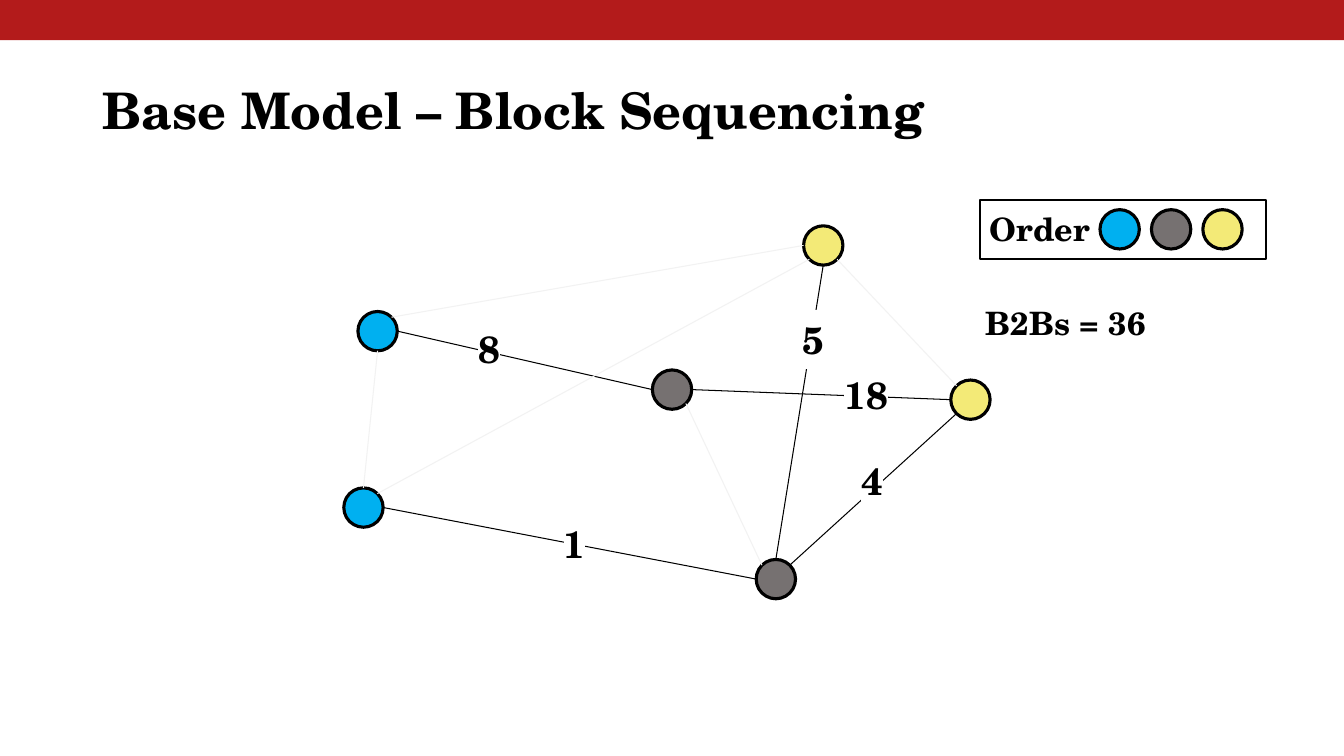
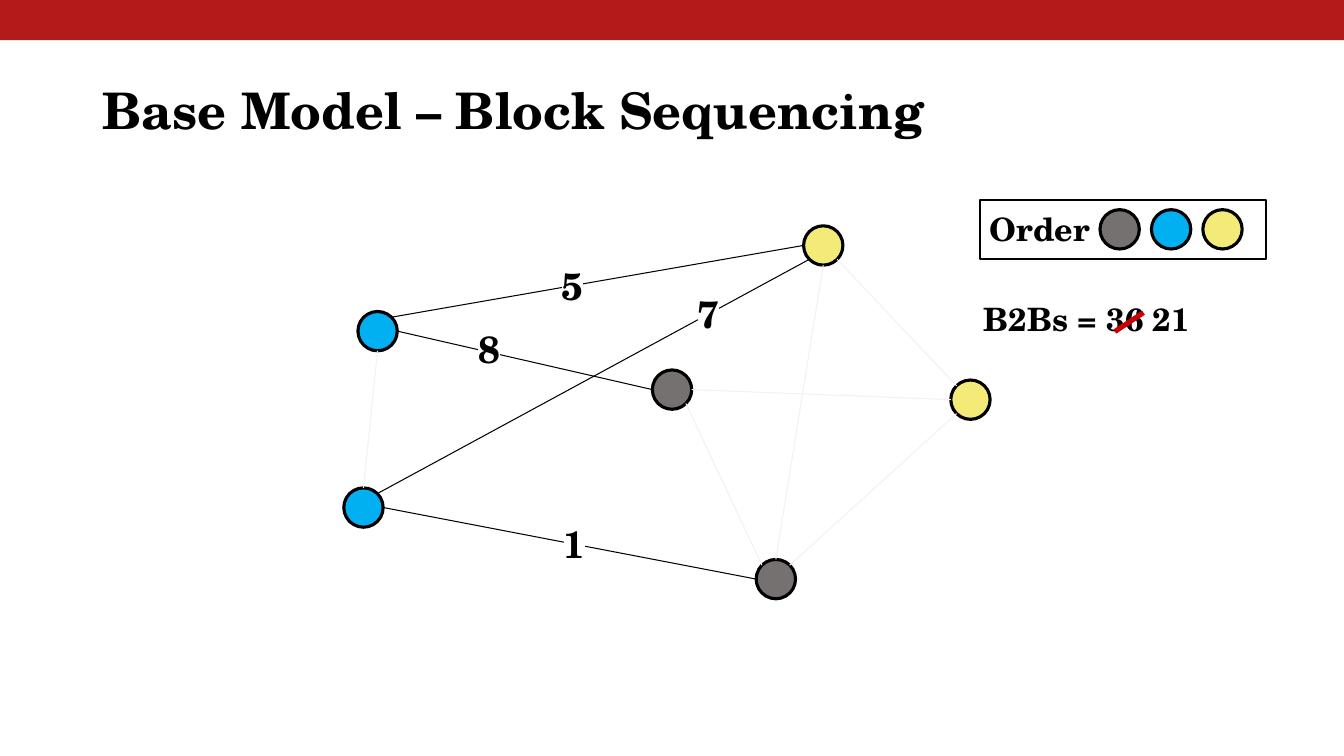
from math import cos, radians, sin

from lxml import etree
from pptx import Presentation
from pptx.dml.color import RGBColor
from pptx.enum.shapes import MSO_CONNECTOR, MSO_SHAPE
from pptx.enum.text import MSO_ANCHOR, PP_ALIGN
from pptx.oxml.ns import qn
from pptx.util import Inches, Pt

RECT, OVAL = MSO_SHAPE.RECTANGLE, MSO_SHAPE.OVAL
STRAIGHT = MSO_CONNECTOR.STRAIGHT
TOP, MIDDLE = MSO_ANCHOR.TOP, MSO_ANCHOR.MIDDLE
LEFT, CENTER = PP_ALIGN.LEFT, PP_ALIGN.CENTER

FONT = "TeX Gyre Schola"
BLACK, WHITE, FADED = "000000", "FFFFFF", "F2F2F2"
BAND, STRIKE = "B31B1B", "CC0000"
BLOCK_COLORS = {"blue": "00B0F0", "grey": "767171", "yellow": "F3EA77"}
NODE_SIZE = 0.39

TITLE = "Base Model – Block Sequencing"

# Exam nodes: block, left, top
NODES = {
    "blue low": ("blue", 3.41, 4.84),
    "grey high": ("grey", 6.47, 3.67),
    "grey low": ("grey", 7.5, 5.55),
    "blue high": ("blue", 3.55, 3.09),
    "yellow low": ("yellow", 9.43, 3.77),
    "yellow high": ("yellow", 7.97, 2.24),
}

# Edges: from node and side, to node and side; weight and its centre if ever counted
EDGES = [
    ("blue high", "E", "grey high", "W", "8", (4.85, 3.46)),
    ("blue high", "NE", "yellow high", "W", "5", (5.68, 2.83)),
    ("blue high", "S", "blue low", "N", None, None),
    ("blue low", "E", "grey low", "W", "1", (5.7, 5.39)),
    ("yellow high", "SE", "yellow low", "NW", None, None),
    ("grey high", "SE", "grey low", "NW", None, None),
    ("grey high", "E", "yellow low", "W", "18", (8.59, 3.91)),
    ("blue low", "NE", "yellow high", "SW", "7", (7.03, 3.11)),
    ("grey low", "NE", "yellow low", "SW", "4", (8.65, 4.77)),
    ("grey low", "N", "yellow high", "S", "5", (8.07, 3.37)),
]
SIDE_ANGLES = {side: 45 * step for step, side in
               enumerate(["E", "SE", "S", "SW", "W", "NW", "N", "NE"])}

# Slides: block order, total, box of the total, box of the strike mark
SLIDES = [
    (["blue", "grey", "yellow"], "B2Bs = 36", (9.68, 2.91, 1.89, 0.59), None),
    (["grey", "blue", "yellow"], "B2Bs = 36 21", (9.66, 2.87, 2.36, 0.59),
     (11.03, 3.17, 0.34, 0.05)),
]


def rgb(value):
    return RGBColor.from_string(value)


def add_block(slide, preset, box, fill=None, line=None, width=0):
    shape = slide.shapes.add_shape(preset, *map(Inches, box))
    shape.shadow.inherit = False
    if fill:
        shape.fill.solid()
        shape.fill.fore_color.rgb = rgb(fill)
    else:
        shape.fill.background()
    if line:
        shape.line.color.rgb = rgb(line)
        shape.line.width = Pt(width)
    else:
        shape.line.fill.background()
    return shape


def write(shape, text, size, align=LEFT, anchor=TOP, inset=0.1, spacing=None):
    frame = shape.text_frame
    frame.word_wrap = True
    frame.vertical_anchor = anchor
    frame.margin_left = frame.margin_right = Inches(0.1)
    frame.margin_top = frame.margin_bottom = Inches(inset)
    paragraph = frame.paragraphs[0]
    paragraph.alignment = align
    paragraph.line_spacing = spacing
    run = paragraph.add_run()
    run.text = text
    font = paragraph.font
    font.name, font.size, font.bold = FONT, Pt(size), True
    font.color.rgb = rgb(BLACK)
    return run


def add_text(slide, box, text, size, **style):
    return write(slide.shapes.add_textbox(*map(Inches, box)), text, size, **style)


def highlight(run, color):
    mark = etree.SubElement(run._r.get_or_add_rPr(), qn("a:highlight"))
    etree.SubElement(mark, qn("a:srgbClr"), val=color)


def add_node(slide, block, left, top):
    add_block(slide, OVAL, (left, top, NODE_SIZE, NODE_SIZE),
              BLOCK_COLORS[block], BLACK, 2.25)


def node_side(node, side):
    _, left, top = NODES[node]
    radius, angle = NODE_SIZE / 2, radians(SIDE_ANGLES[side])
    return (Inches(left + radius + radius * cos(angle)),
            Inches(top + radius + radius * sin(angle)))


def add_edge(slide, start, end, color):
    edge = slide.shapes.add_connector(STRAIGHT, *start, *end)
    edge.line.color.rgb = rgb(color)
    edge.line.width = Pt(0.75)
    etree.SubElement(edge._element.spPr, qn("a:effectLst"))


def add_weight(slide, weight, center):
    width, height = (0.46 if len(weight) == 1 else 0.76), 0.44
    box = (center[0] - width / 2, center[1] - height / 2, width, height)
    highlight(add_text(slide, box, weight, 27, align=CENTER, anchor=MIDDLE), WHITE)


def add_graph(slide, order):
    for node in NODES.values():
        add_node(slide, *node)

    # An edge counts when its blocks follow each other in the order
    back_to_back = [{a, b} for a, b in zip(order, order[1:])]
    counted = []
    for start, start_side, end, end_side, weight, center in EDGES:
        counts = {NODES[start][0], NODES[end][0]} in back_to_back
        add_edge(slide, node_side(start, start_side), node_side(end, end_side),
                 BLACK if counts else FADED)
        if counts:
            counted.append((weight, center))
    for weight, center in counted:
        add_weight(slide, weight, center)


def add_order(slide, order):
    frame = add_block(slide, RECT, (9.72, 1.98, 2.84, 0.59), line=BLACK, width=1.5)
    write(frame, "Order", 23)
    for place, block in enumerate(order):
        add_node(slide, block, 10.91 + 0.51 * place, 2.08)


def main():
    prs = Presentation()
    prs.slide_width, prs.slide_height = Inches(13.33), Inches(7.5)
    for order, total, total_box, strike_box in SLIDES:
        slide = prs.slides.add_slide(prs.slide_layouts[6])
        # Band and title
        add_block(slide, RECT, (0, 0, 13.33, 0.4), BAND)
        add_text(slide, (0.92, 0.4, 11.5, 1.45), TITLE, 36,
                 anchor=MIDDLE, inset=0.05, spacing=0.9)
        # Graph, order and total
        add_graph(slide, order)
        add_order(slide, order)
        add_text(slide, total_box, total, 23)
        if strike_box:
            add_block(slide, RECT, strike_box, STRIKE).rotation = 326.5
    prs.save("out.pptx")


if __name__ == "__main__":
    main()
